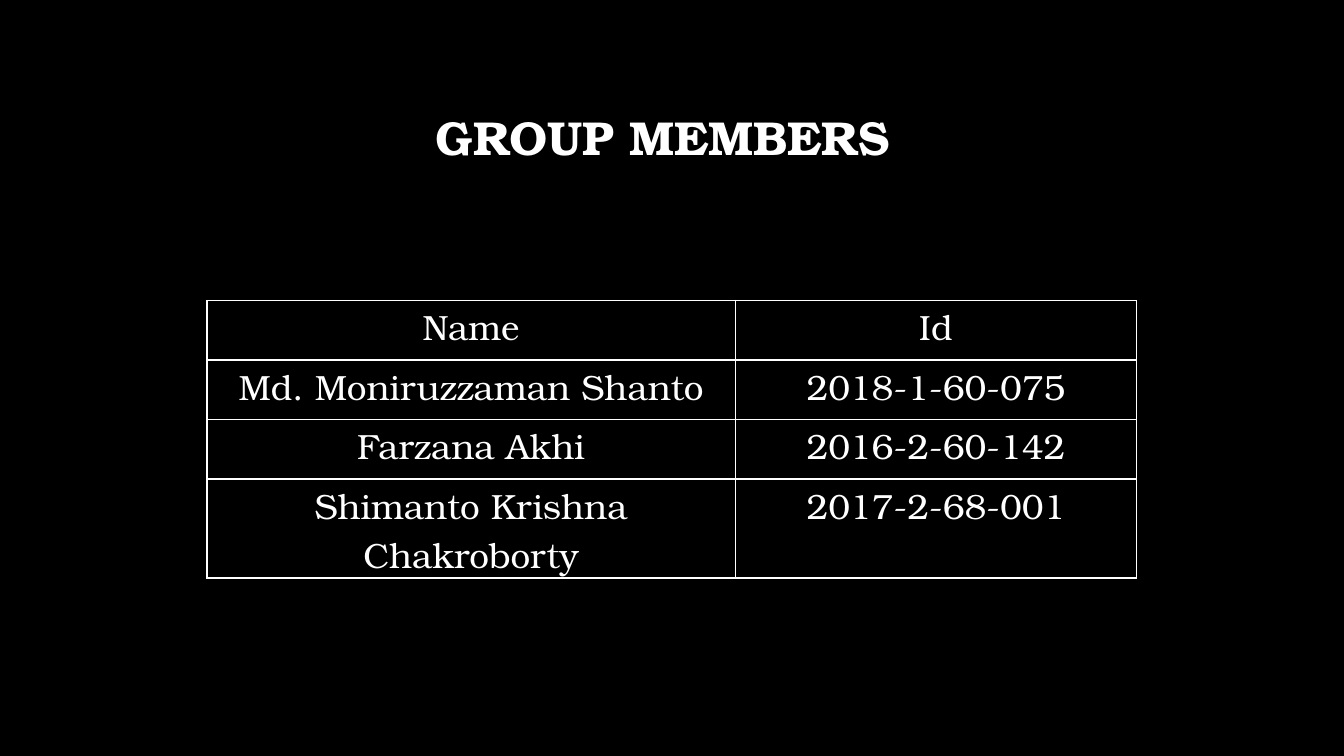
"""Build the group members slide: a title above a ruled table of names and ids."""
from dataclasses import astuple, dataclass

from lxml import etree
from pptx import Presentation
from pptx.dml.color import RGBColor
from pptx.enum.text import MSO_ANCHOR, PP_ALIGN
from pptx.oxml.ns import qn
from pptx.slide import Slide
from pptx.table import _Cell
from pptx.text.text import TextFrame
from pptx.util import Pt

CENTER = PP_ALIGN.CENTER
MIDDLE = MSO_ANCHOR.MIDDLE
TOP = MSO_ANCHOR.TOP
FONT = "TeX Gyre Bonum"
BLACK = "000000"
WHITE = "FFFFFF"
BORDER_SIDES = ("a:lnL", "a:lnR", "a:lnT", "a:lnB")
COLUMN_WIDTHS = (377.3, 286.9)
ROW_HEIGHTS = (42.5, 42.5, 42.5, 70.5)


@dataclass(frozen=True)
class Member:
    name: str
    id: str


HEADING = Member("Name", "Id")
MEMBERS = (
    Member("Md. Moniruzzaman Shanto", "2018-1-60-075"),
    Member("Farzana Akhi", "2016-2-60-142"),
    Member("Shimanto Krishna Chakroborty", "2017-2-68-001"),
)


def color(hex_code: str) -> RGBColor:
    return RGBColor.from_string(hex_code)


def write(frame: TextFrame, text: str, size: float, spacing: float, bold: bool) -> None:
    frame.text = text
    paragraph = frame.paragraphs[0]
    paragraph.alignment = CENTER
    paragraph.line_spacing = spacing
    paragraph.font.name = FONT
    paragraph.font.size = Pt(size)
    paragraph.font.bold = bold
    paragraph.font.color.rgb = color(WHITE)


def add_borders(cell: _Cell) -> None:
    properties = cell._tc.get_or_add_tcPr()
    for position, side in enumerate(BORDER_SIDES):
        line = etree.Element(qn(side), w=str(Pt(1)))
        fill = etree.SubElement(line, qn("a:solidFill"))
        etree.SubElement(fill, qn("a:srgbClr"), val=WHITE)
        properties.insert(position, line)


def fill_cell(cell: _Cell, text: str) -> None:
    cell.margin_left = cell.margin_right = Pt(9.4)
    cell.margin_top = cell.margin_bottom = Pt(0)
    cell.vertical_anchor = TOP
    cell.fill.solid()
    cell.fill.fore_color.rgb = color(BLACK)
    write(cell.text_frame, text, 25, 1.06, False)
    add_borders(cell)


def add_title(slide: Slide) -> None:
    title = slide.shapes.title
    title.left, title.top = Pt(72), Pt(48)
    title.width, title.height = Pt(815), Pt(104.4)
    title.text_frame.vertical_anchor = MIDDLE
    write(title.text_frame, "GROUP MEMBERS ", 34, 0.9, True)


def add_member_table(slide: Slide) -> None:
    members = slide.shapes.add_table(
        len(ROW_HEIGHTS), len(COLUMN_WIDTHS), Pt(147.8), Pt(214.6),
        Pt(sum(COLUMN_WIDTHS)), Pt(sum(ROW_HEIGHTS)),
    ).table
    members.first_row = members.horz_banding = False
    for column, width in zip(members.columns, COLUMN_WIDTHS):
        column.width = Pt(width)
    for row, height, member in zip(members.rows, ROW_HEIGHTS, (HEADING, *MEMBERS)):
        row.height = Pt(height)
        for cell, text in zip(row.cells, astuple(member)):
            fill_cell(cell, text)


def main() -> None:
    deck = Presentation()
    deck.slide_width, deck.slide_height = Pt(960), Pt(540)
    slide = deck.slides.add_slide(deck.slide_layouts.get_by_name("Title Only"))
    slide.background.fill.solid()
    slide.background.fill.fore_color.rgb = color(BLACK)
    add_title(slide)
    add_member_table(slide)
    deck.save("out.pptx")


if __name__ == "__main__":
    main()
